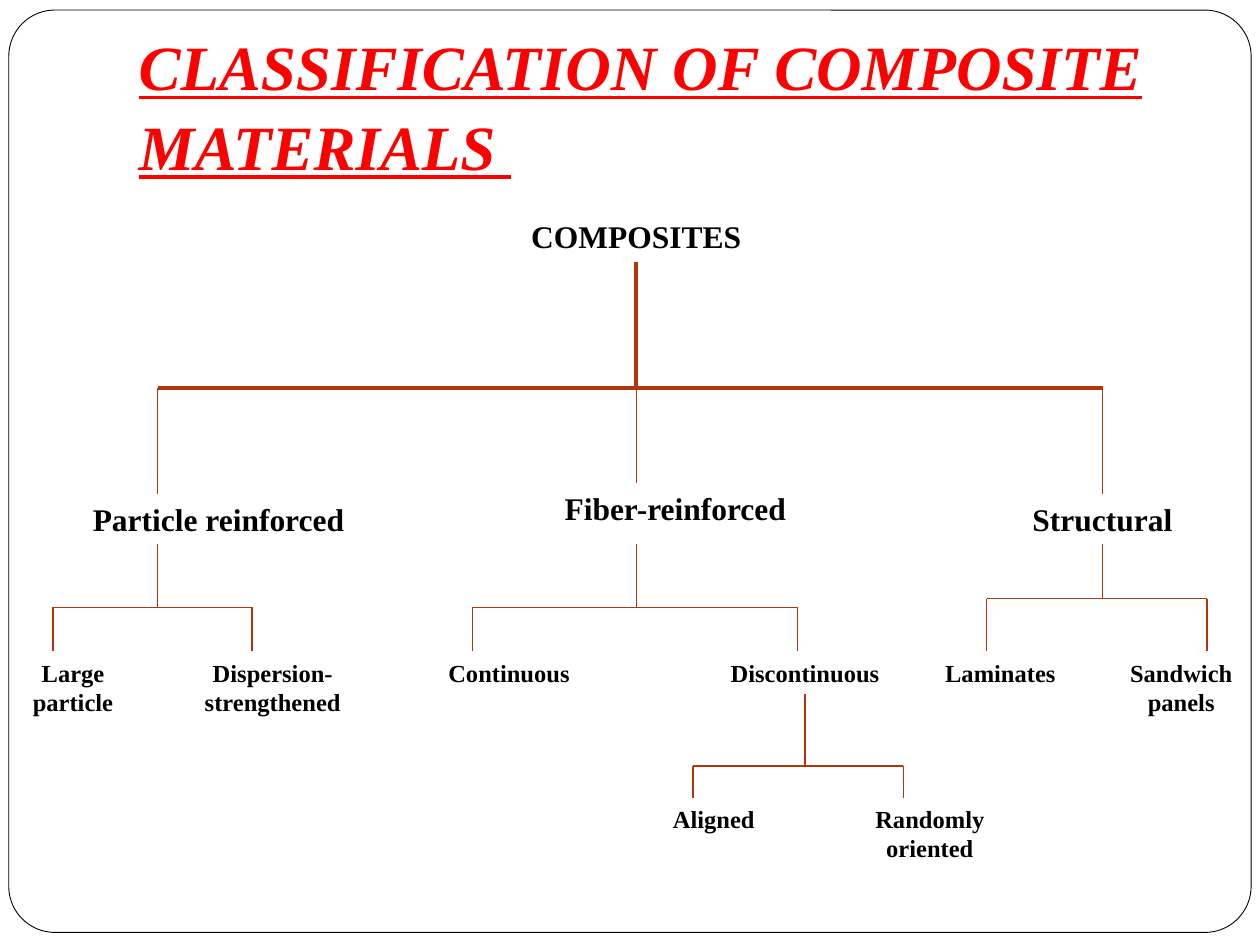
from pptx import Presentation
from pptx import util as u
from pptx.dml.color import RGBColor
from pptx.enum import shapes, text
from pptx.oxml.ns import qn
from lxml import etree

FACE = "Times New Roman"
RUST = "B1360B"
LABELS = [
    ("COMPOSITES", 3.05, 1.67, 4, 0.41, 18),
    ("Particle reinforced", 0.42, 3.92, 2.63, 0.4, 18),
    ("Fiber-reinforced", 3.67, 3.83, 3.38, 0.4, 18),
    ("Structural", 7.67, 3.92, 2.16, 0.4, 18),
    ("Large particle", 0.08, 5.17, 1, 0.57, 14),
    ("Dispersion-strengthened", 1.5, 5.17, 1.33, 0.57, 14),
    ("Continuous", 3.25, 5.17, 1.58, 0.34, 14),
    ("Discontinuous", 5.36, 5.17, 2.06, 0.34, 14),
    ("Laminates", 7.17, 5.17, 1.54, 0.34, 14),
    ("Sandwich panels", 8.75, 5.17, 1.25, 0.57, 14),
    ("Aligned", 5, 6.33, 1.33, 0.34, 14),
    ("Randomly oriented", 6.67, 6.33, 1.42, 0.57, 14),
]


def color(code):
    """Return the colour for a hex string."""
    return RGBColor.from_string(code)


def place(shape, *box):
    """Set left, top, width and height in inches."""
    shape.left, shape.top, shape.width, shape.height = map(u.Inches, box)


def style(para, size, code):
    """Set the bold serif face of a paragraph."""
    font = para.font
    font.name, font.size, font.bold = FACE, u.Pt(size), True
    font.color.rgb = color(code)


def add_frame(slide):
    """Put the rounded page border behind everything."""
    box = map(u.Inches, (0.07, 0.08, 9.86, 7.32))
    frame = slide.shapes.add_shape(shapes.MSO_SHAPE.ROUNDED_RECTANGLE, *box)
    frame.adjustments[0] = 0.05
    frame.shadow.inherit = False
    frame.fill.solid()
    frame.fill.fore_color.rgb = color("FFFFFF")
    frame.line.color.rgb = color("000000")
    frame.line.width = u.Pt(0.5)
    slide.shapes._spTree.insert(2, frame._element)


def add_title(slide):
    """Fill and format the title placeholder."""
    title = slide.shapes.title
    place(title, 1, 0.3, 8.5, 1.25)
    frame = title.text_frame
    frame.text = "CLASSIFICATION OF COMPOSITE MATERIALS "
    frame.word_wrap = True
    frame.auto_size = text.MSO_AUTO_SIZE.NONE
    frame.vertical_anchor = text.MSO_ANCHOR.BOTTOM
    frame.margin_bottom = u.Inches(0.1)
    para = frame.paragraphs[0]
    para.alignment = text.PP_ALIGN.LEFT
    para.line_spacing = 1.05
    style(para, 36, "FF0000")
    para.font.italic = para.font.underline = True


def add_label(slide, words, x, y, wide, high, size):
    """Add one centred node label."""
    box = slide.shapes.add_textbox(*map(u.Inches, (x, y, wide, high)))
    frame = box.text_frame
    frame.text = words
    frame.word_wrap = True
    frame.auto_size = text.MSO_AUTO_SIZE.SHAPE_TO_FIT_TEXT
    para = frame.paragraphs[0]
    para.alignment = text.PP_ALIGN.CENTER
    style(para, size, "000000")
    return box


def add_line(slide, start, end, width=0.75):
    """Draw one straight tree line."""
    line = slide.shapes.add_connector(
        shapes.MSO_CONNECTOR.STRAIGHT, *map(u.Inches, start + end))
    line.line.color.rgb = color(RUST)
    line.line.width = u.Pt(width)
    etree.SubElement(line._element.spPr, qn("a:effectLst"))
    return line


def add_fork(slide, x, top, bar, drops, width=0.75):
    """Draw a stem, a crossbar and drops; return the stem and the drops."""
    stem = add_line(slide, (x, top), (x, bar), width)
    ends = [spot for spot, _ in drops]
    add_line(slide, (min(ends), bar), (max(ends), bar), width)
    return stem, [add_line(slide, (spot, bar), (spot, low)) for spot, low in drops]


def main():
    """Build the slide and save it."""
    deck = Presentation()
    deck.slide_width, deck.slide_height = u.Inches(10), u.Inches(7.5)
    slide = deck.slides.add_slide(deck.slide_layouts[5])
    add_frame(slide)
    add_title(slide)
    nodes = {row[0]: add_label(slide, *row) for row in LABELS}

    root, legs = add_fork(slide, 5.05, 2.08, 3.08,
                          [(1.25, 3.92), (5.05, 3.83), (8.75, 3.92)], 2.5)
    root.begin_connect(nodes["COMPOSITES"], 2)
    legs[2].end_connect(nodes["Structural"], 0)
    add_fork(slide, 1.25, 4.32, 4.82, [(0.42, 5.17), (2, 5.17)])
    add_fork(slide, 5.05, 4.32, 4.82, [(3.75, 5.17), (6.33, 5.17)])
    stem, _ = add_fork(slide, 8.75, 4.32, 4.75, [(7.83, 5.17), (9.58, 5.17)])
    stem.begin_connect(nodes["Structural"], 2)
    stem, _ = add_fork(slide, 6.39, 5.51, 6.08, [(5.5, 6.33), (7.17, 6.33)])
    stem.begin_connect(nodes["Discontinuous"], 2)
    deck.save("out.pptx")


if __name__ == "__main__":
    main()
